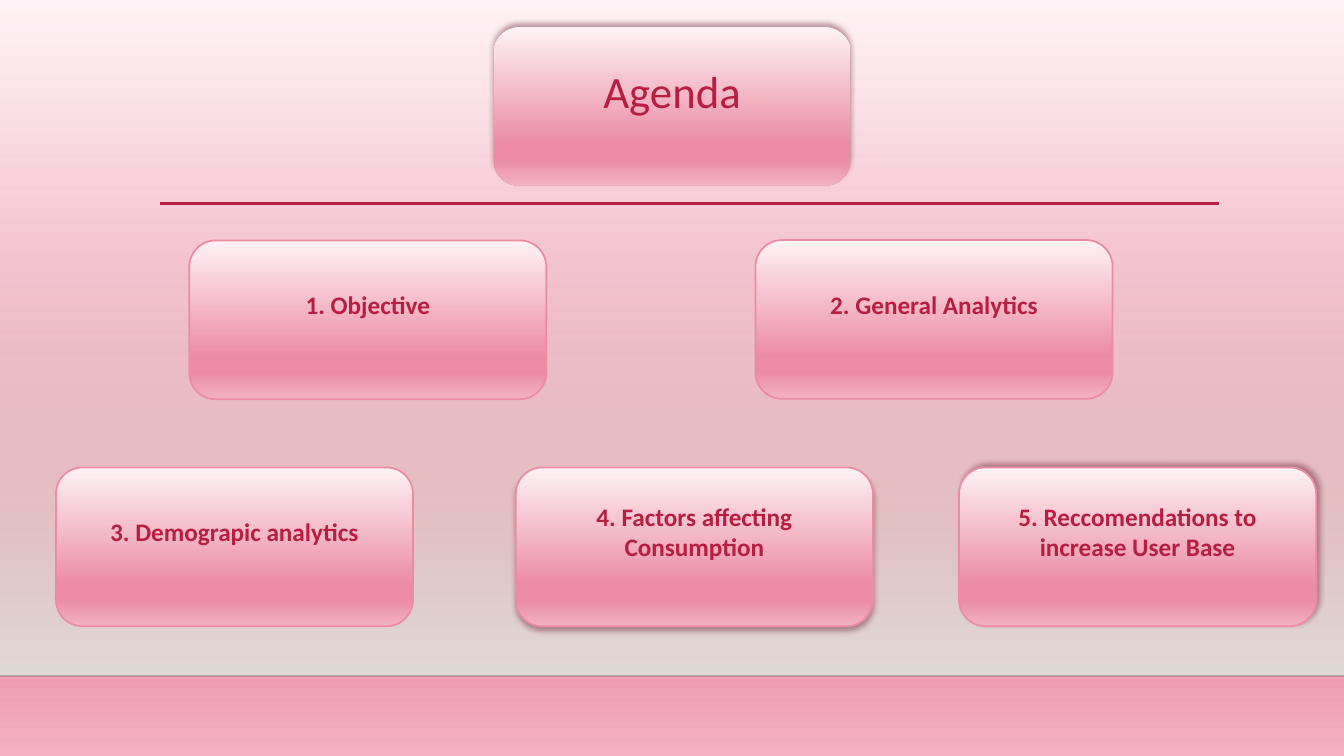
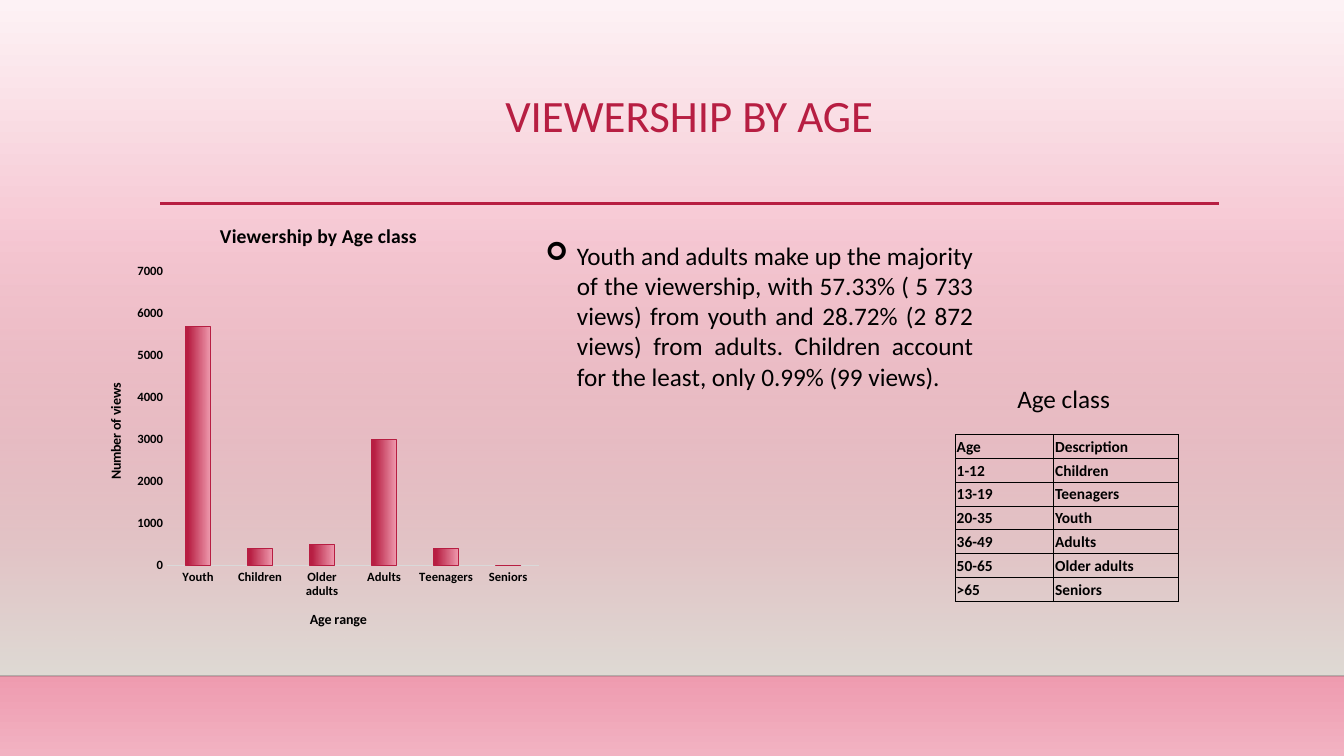
"""Build two pink slides: an agenda and viewership by age."""
from dataclasses import dataclass

from lxml.etree import SubElement
from pptx import Presentation
from pptx.chart.data import CategoryChartData
from pptx.dml.color import RGBColor
from pptx.enum.chart import XL_CHART_TYPE, XL_TICK_MARK
from pptx.enum.shapes import MSO_CONNECTOR, MSO_SHAPE
from pptx.enum.text import MSO_ANCHOR, PP_ALIGN
from pptx.oxml.ns import qn
from pptx.util import Cm, Pt


@dataclass(frozen=True)
class Theme:
    """Hold colours, type sizes and gradients."""
    font: str = "Calibri"
    signs: str = "Wingdings"
    red: str = "B71E42"
    pink: str = "EC8CA3"
    shade: str = "5C0F21"
    ink: str = "000000"
    edge: str = "000001"
    grey: str = "D9D9D9"
    head: int = 32
    body: int = 18
    name: int = 14
    cell: int = 11
    axis: int = 10
    tick: int = 9
    glow: tuple = ((0, "FDF2F5", 100), (74, "EC8CA3", 100),
                   (83, "EC8CA3", 100), (100, "F2B2C2", 100))
    fade: tuple = ((0, "DFDBD5", 0), (100, "DFDBD5", 100))
    bar: tuple = ((0, "EE99AD", 100), (90, "B71E42", 100))


T = Theme()
WIDE, HIGH = 33.87, 19.05
CARD = (9, 4)


def put(item, form):
    """Set each attribute named in a dict."""
    for key, value in form.items():
        setattr(item, key, value)


def node(host, tag, **attrs):
    """Add an XML child with the given attributes."""
    return SubElement(host, qn(tag), {k: str(v) for k, v in attrs.items()})


def tint(host, color, alpha):
    """Add an RGB colour with opacity in percent."""
    node(node(host, "a:srgbClr", val=color), "a:alpha", val=alpha * 1000)


def blend(fill, host, stops, angle=90):
    """Give a fill a linear gradient."""
    fill.gradient()
    row = host.find(".//" + qn("a:gsLst"))
    for old in list(row):
        row.remove(old)
    for place, color, alpha in stops:
        tint(node(row, "a:gs", pos=place * 1000), color, alpha)
    row.getnext().set("ang", str(angle * 60000))


def ink(font, size, color=T.ink, bold=False):
    """Style a font."""
    put(font, {"name": T.font, "size": Pt(size), "bold": bold})
    font.color.rgb = RGBColor.from_string(color)


def pen(line, color, width):
    """Style an outline."""
    line.color.rgb = RGBColor.from_string(color)
    line.width = Pt(width)


def write(frame, text, size, color=T.ink, bold=False, align=PP_ALIGN.CENTER, **form):
    """Fill a text frame with one paragraph and return it."""
    put(frame, {"word_wrap": True, **form})
    para = frame.paragraphs[0]
    para.alignment = align
    run = para.add_run()
    run.text = text
    ink(run.font, size, color, bold)
    return para


def label(slide, box, text, size, **form):
    """Add a text box."""
    return write(slide.shapes.add_textbox(*map(Cm, box)).text_frame, text, size, **form)


def rule(slide, left, right, top, color, width, alpha=100):
    """Add a level line."""
    line = slide.shapes.add_connector(
        MSO_CONNECTOR.STRAIGHT, Cm(left), Cm(top), Cm(right), Cm(top))
    pen(line.line, color, width)
    part = line._element.spPr
    node(part.find(".//" + qn("a:srgbClr")), "a:alpha", val=alpha * 1000)
    node(part, "a:effectLst")


def block(slide, kind, box, stops):
    """Add a gradient shape with neither line nor shadow."""
    shape = slide.shapes.add_shape(kind, *map(Cm, box))
    shape.shadow.inherit = False
    blend(shape.fill, shape._element.spPr, stops)
    shape.line.fill.background()
    return shape


def card(slide, left, top, text, size=T.body, bold=True, edge=True, cast=None):
    """Add a rounded card, with a shadow cast at an angle if given."""
    shape = block(slide, MSO_SHAPE.ROUNDED_RECTANGLE, (left, top, *CARD), T.glow)
    if edge:
        pen(shape.line, T.pink, 1.25)
    if cast is not None:
        drop = node(shape._element.spPr.find(qn("a:effectLst")), "a:outerShdw",
                    blurRad=Pt(4), dist=Pt(3), dir=cast * 60000, rotWithShape=0)
        tint(drop, T.shade, 40)
    write(shape.text_frame, text, size, T.red, bold,
          vertical_anchor=MSO_ANCHOR.MIDDLE, margin_bottom=Cm(0.9))


def page(deck):
    """Add a blank slide with the shared band and rules."""
    slide = deck.slides.add_slide(deck.slide_layouts[6])
    block(slide, MSO_SHAPE.RECTANGLE, (0, 5.61, WIDE, 11.42), T.fade)
    rule(slide, 0, WIDE, 17.03, T.edge, 1, 20)
    rule(slide, 4.04, 30.73, 5.13, T.red, 2.5)
    return slide


def name(item, text, size):
    """Title a chart or an axis."""
    item.has_title = True
    frame = (item.chart_title if hasattr(item, "chart_title") else item.axis_title).text_frame
    write(frame, text, size, bold=True)


def chart(slide, box, title, data):
    """Add a column chart of one series."""
    feed = CategoryChartData()
    feed.categories = list(data)
    feed.add_series("Series 1", list(data.values()))
    graph = slide.shapes.add_chart(
        XL_CHART_TYPE.COLUMN_CLUSTERED, *map(Cm, box), feed).chart
    graph.has_legend = False
    ink(graph.font, T.axis, bold=True)
    name(graph, title, T.name)
    for axis, text in ((graph.category_axis, "Age range"),
                       (graph.value_axis, "Number of views")):
        put(axis, {"has_major_gridlines": False,
                   "major_tick_mark": XL_TICK_MARK.NONE,
                   "minor_tick_mark": XL_TICK_MARK.NONE})
        ink(axis.tick_labels.font, T.tick, bold=True)
        name(axis, text, T.axis)
    pen(graph.category_axis.format.line, T.grey, 0.75)
    graph.value_axis.format.line.fill.background()
    put(graph.value_axis, {"minimum_scale": 0, "maximum_scale": 7000, "major_unit": 1000})
    plot = graph.plots[0]
    put(plot, {"gap_width": 150, "vary_by_categories": False})
    bars = plot.series[0]
    blend(bars.format.fill, bars._element, T.bar, 180)
    pen(bars.format.line, T.red, 0.75)
    area = graph._chartSpace.find(".//" + qn("c:plotArea"))
    for old in area.findall(qn("c:layout")):
        area.remove(old)
    spot = node(area, "c:layout")
    area.insert(0, spot)
    hand = node(spot, "c:manualLayout")
    for key, value in {"layoutTarget": "inner", "xMode": "edge", "yMode": "edge",
                       "x": 0.17, "y": 0.15, "w": 0.81, "h": 0.66}.items():
        node(hand, "c:" + key, val=value)


def border(cell):
    """Draw thin lines on all four sides of a cell."""
    part = cell._tc.get_or_add_tcPr()
    for spot, side in enumerate("LRTB"):
        line = node(part, "a:ln" + side, w=Pt(0.75))
        tint(node(line, "a:solidFill"), T.ink, 100)
        part.insert(spot, line)


def table(slide, left, top, wide, high, rows):
    """Add a plain ruled table."""
    grid = slide.shapes.add_table(
        len(rows), len(wide), Cm(left), Cm(top), Cm(sum(wide)), Cm(high * len(rows))).table
    put(grid, {"first_row": False, "horz_banding": False})
    for col, size in zip(grid.columns, wide):
        col.width = Cm(size)
    for line, row in zip(grid.rows, rows):
        line.height = Cm(high)
        for cell, text in zip(line.cells, row):
            put(cell, {"margin_left": Cm(0.03), "margin_right": Cm(0.03),
                       "margin_top": Cm(0.03), "margin_bottom": 0,
                       "vertical_anchor": MSO_ANCHOR.MIDDLE})
            cell.fill.background()
            border(cell)
            write(cell.text_frame, text, T.cell, bold=True, align=PP_ALIGN.LEFT)


def bullet(para, sign, gap):
    """Give a paragraph a hanging bullet."""
    props = para._p.get_or_add_pPr()
    for key, value in {"marL": Cm(gap), "indent": -Cm(gap)}.items():
        props.set(key, str(value))
    node(props, "a:buFont", typeface=T.signs, pitchFamily=2, charset=2)
    node(props, "a:buChar", char=sign)


def plan(deck):
    """Build the agenda slide."""
    slide = page(deck)
    card(slide, 12.44, 0.68, "Agenda", T.head, bold=False, edge=False, cast=270)
    for left, top, text, cast in (
            (4.77, 6.06, "1. Objective", None),
            (19.04, 6.05, "2. General Analytics", None),
            (1.41, 11.78, "3. Demograpic analytics", None),
            (13, 11.78, "4. Factors affecting Consumption", 90),
            (24.17, 11.78, "5. Reccomendations to increase User Base", 315)):
        card(slide, left, top, text, cast=cast)


def ages(deck):
    """Build the viewership slide."""
    slide = page(deck)
    head = label(slide, (4.04, 2.24, 26.67, 2.92), "VIEWERSHIP BY AGE", T.head, color=T.red)
    head.line_spacing = 0.9
    chart(slide, (2.24, 5.16, 11.58, 11.23), "Viewership by Age class", {
        "Youth": 5700, "Children": 400, "Older adults": 500,
        "Adults": 3000, "Teenagers": 400, "Seniors": 0})
    table(slide, 24.08, 10.95, (2.48, 3.13), 0.6, (
        ("Age", "Description"), ("1-12", "Children"), ("13-19", "Teenagers"),
        ("20-35", "Youth"), ("36-49", "Adults"), ("50-65", "Older adults"),
        (">65", "Seniors")))
    label(slide, (24, 9.53, 5.61, 1.02), "Age class", T.body)
    note = label(
        slide, (13.5, 5.92, 11.28, 4.09),
        "Youth and adults make up the majority of the viewership, with 57.33% "
        "( 5 733 views) from youth and 28.72% (2 872 views) from adults. "
        "Children account for the least, only 0.99% (99 views).",
        T.body, align=PP_ALIGN.JUSTIFY)
    bullet(note, "➢", 0.79)


def main():
    """Build and save the deck."""
    deck = Presentation()
    put(deck, {"slide_width": Cm(WIDE), "slide_height": Cm(HIGH)})
    base = deck.slide_master
    blend(base.background.fill, base._element, T.glow)
    plan(deck)
    ages(deck)
    deck.save("out.pptx")


if __name__ == "__main__":
    main()
